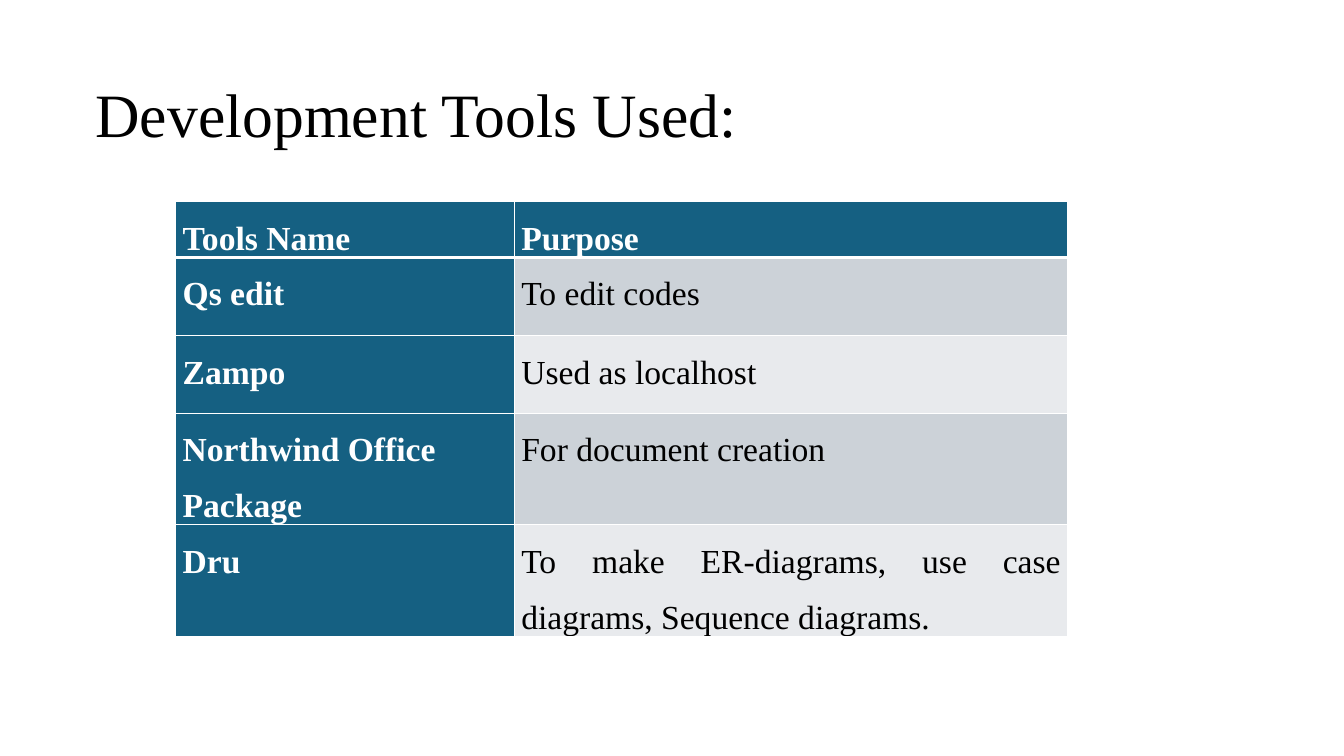
from dataclasses import dataclass

from lxml.etree import SubElement
from pptx import Presentation
from pptx.dml.color import RGBColor
from pptx.enum.text import MSO_ANCHOR, MSO_AUTO_SIZE, PP_ALIGN
from pptx.oxml.ns import qn
from pptx.slide import Slide
from pptx.table import _Cell as Cell
from pptx.text.text import _Paragraph as Paragraph
from pptx.util import Pt

FONT = "Times New Roman"
WHITE = RGBColor(0xFF, 0xFF, 0xFF)
BLACK = RGBColor(0x00, 0x00, 0x00)
TEAL = RGBColor(0x15, 0x60, 0x82)
BANDS = (RGBColor(0xCC, 0xD2, 0xD8), RGBColor(0xE8, 0xEA, 0xED))

COLUMN_WIDTHS = (241.9, 395.3)
THIN, THICK = 1, 3


@dataclass(frozen=True)
class ToolRow:
    name: str
    purpose: str
    height: float
    name_align: PP_ALIGN = PP_ALIGN.JUSTIFY


TOOL_ROWS = (
    ToolRow("Tools Name", "Purpose", 34.5),
    ToolRow("Qs edit", "To edit codes", 56),
    ToolRow("Zampo", "Used as localhost", 55.5),
    ToolRow("Northwind Office Package", "For document creation", 74, PP_ALIGN.LEFT),
    ToolRow("Dru", "To make ER-diagrams, use case diagrams, Sequence diagrams.", 74),
)


def format_paragraph(paragraph: Paragraph, size: float, color: RGBColor, bold: bool,
                     align: PP_ALIGN, spacing: float) -> None:
    paragraph.alignment = align
    paragraph.line_spacing = spacing
    for run in paragraph.runs:
        run.font.name = FONT
        run.font.size = Pt(size)
        run.font.bold = bold
        run.font.color.rgb = color


def add_borders(cell: Cell, top: float, bottom: float) -> None:
    """Draw white cell borders; call before the cell gets its fill."""
    properties = cell._tc.get_or_add_tcPr()
    for tag, width in (("lnL", THIN), ("lnR", THIN), ("lnT", top), ("lnB", bottom)):
        line = SubElement(properties, qn(f"a:{tag}"), w=str(Pt(width)))
        fill = SubElement(line, qn("a:solidFill"))
        SubElement(fill, qn("a:srgbClr"), val=str(WHITE))


def fill_cell(cell: Cell, text: str, background: RGBColor, heading: bool,
              align: PP_ALIGN) -> None:
    cell.fill.solid()
    cell.fill.fore_color.rgb = background
    cell.margin_left = cell.margin_right = Pt(5)
    cell.margin_top = cell.margin_bottom = Pt(0)
    cell.text_frame.text = text
    format_paragraph(cell.text_frame.paragraphs[0], 24, WHITE if heading else BLACK,
                     heading, align, 1.5)


def add_title(slide: Slide) -> None:
    title = slide.shapes.title
    title.left, title.top, title.width, title.height = Pt(61), Pt(31.7), Pt(828), Pt(104.4)
    frame = title.text_frame
    frame.text = "Development Tools Used:"
    frame.word_wrap = True
    frame.auto_size = MSO_AUTO_SIZE.NONE
    frame.vertical_anchor = MSO_ANCHOR.MIDDLE
    format_paragraph(frame.paragraphs[0], 44, BLACK, False, PP_ALIGN.LEFT, 0.9)


def add_tools_table(slide: Slide) -> None:
    tools = slide.shapes.add_table(
        len(TOOL_ROWS), len(COLUMN_WIDTHS), Pt(125.5), Pt(144),
        Pt(sum(COLUMN_WIDTHS)), Pt(sum(row.height for row in TOOL_ROWS))).table
    tools.first_col = True
    for column, width in zip(tools.columns, COLUMN_WIDTHS):
        column.width = Pt(width)
    for index, row in enumerate(TOOL_ROWS):
        tools.rows[index].height = Pt(row.height)
        name_cell, purpose_cell = tools.rows[index].cells
        is_header = index == 0
        for cell in (name_cell, purpose_cell):
            add_borders(cell, THICK if index == 1 else THIN, THICK if is_header else THIN)
        fill_cell(name_cell, row.name, TEAL, True, row.name_align)
        fill_cell(purpose_cell, row.purpose, TEAL if is_header else BANDS[(index - 1) % 2],
                  is_header, PP_ALIGN.JUSTIFY)


def main() -> None:
    presentation = Presentation()
    presentation.slide_width, presentation.slide_height = Pt(960), Pt(540)
    slide = presentation.slides.add_slide(presentation.slide_layouts[5])
    add_title(slide)
    add_tools_table(slide)
    presentation.save("out.pptx")


if __name__ == "__main__":
    main()
